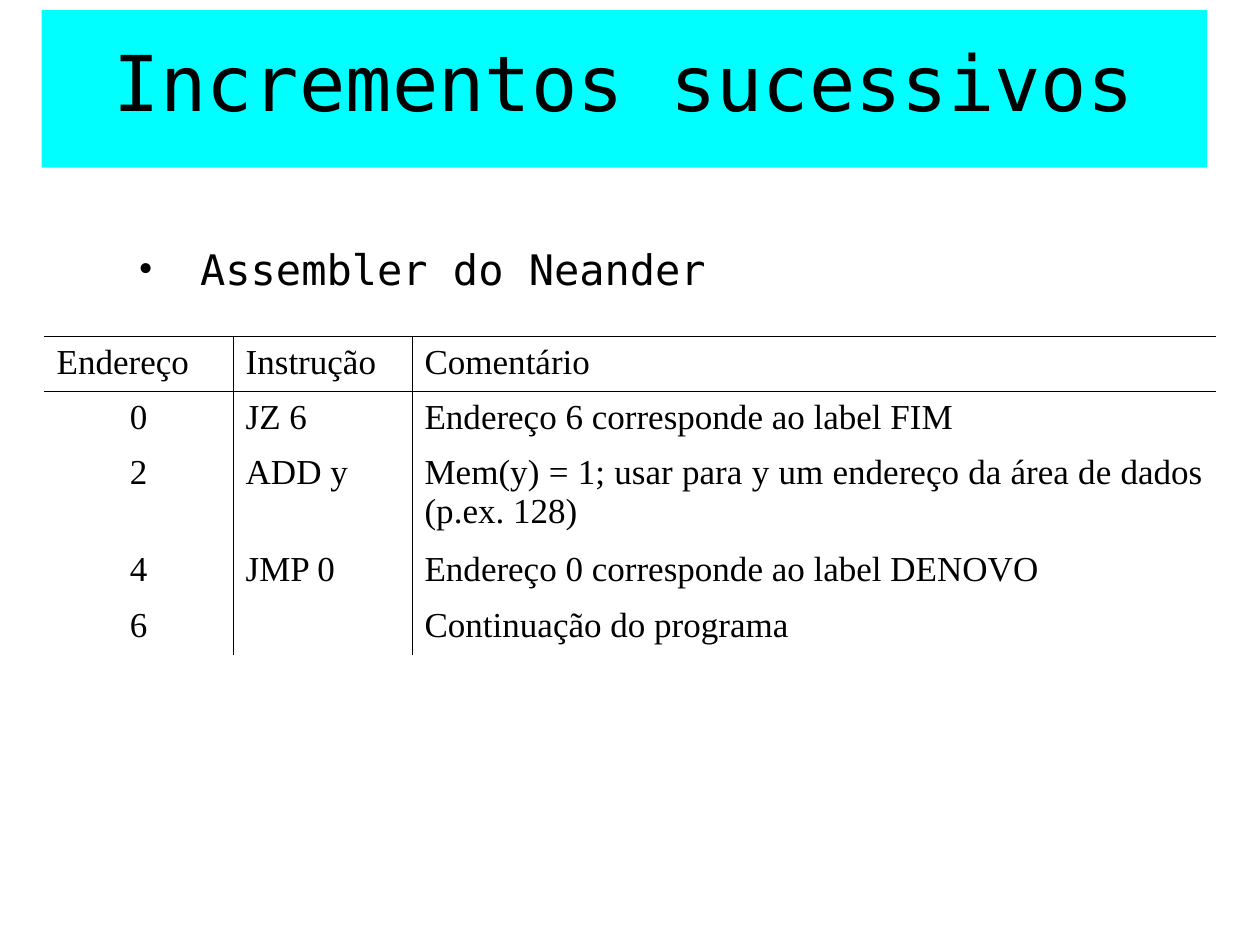
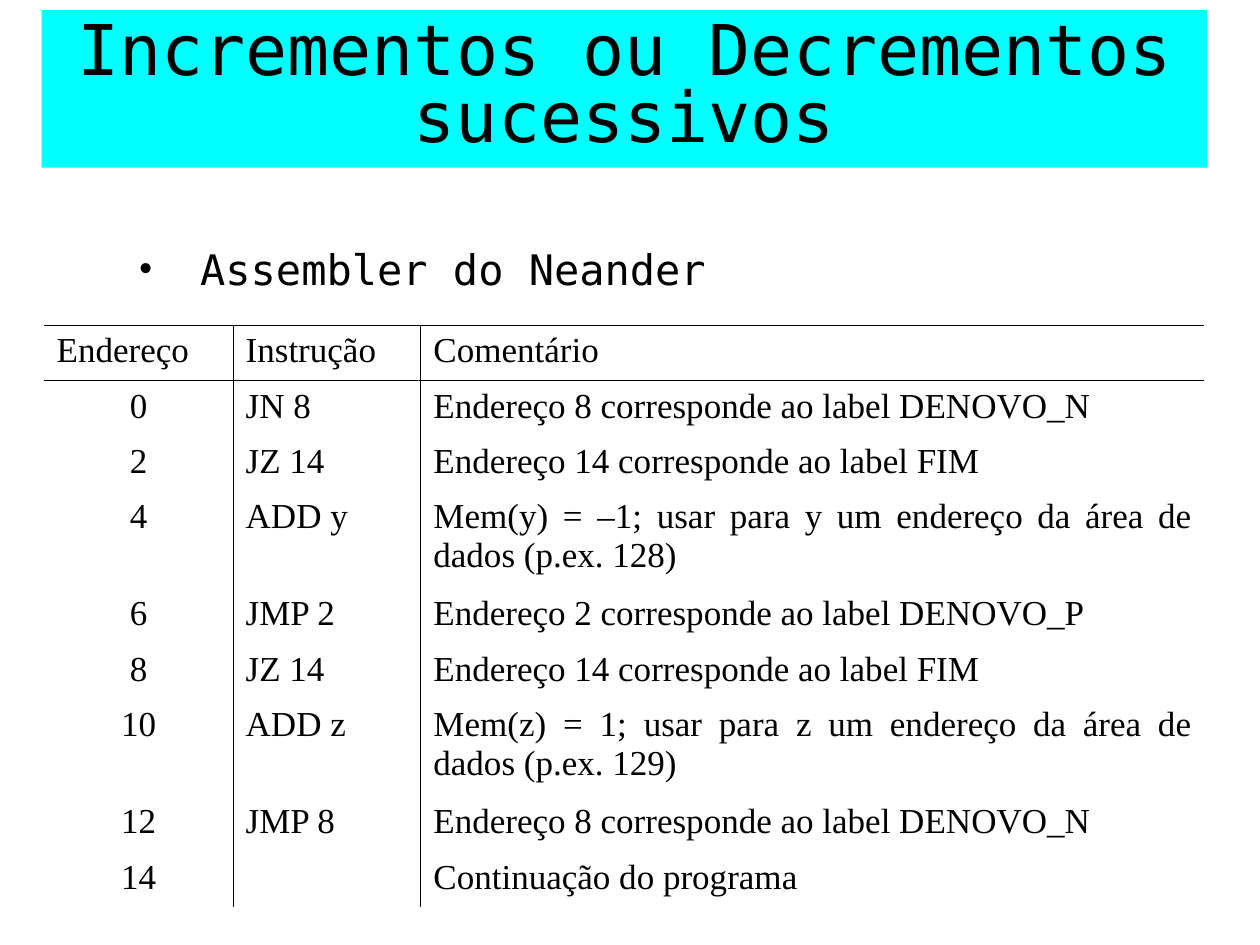
"""Build two slides listing Neander assembler programs."""
from dataclasses import dataclass

from lxml import etree
from pptx import Presentation
from pptx import util as u
from pptx.dml.color import RGBColor
from pptx.enum import shapes, text
from pptx.oxml.ns import qn

TOPIC = "Assembler do Neander"
HEADER = ("Endereço", "Instrução", "Comentário")
SLIDES = [
    {
        "title": "Incrementos sucessivos", "title_size": 44,
        "top": 2.67, "columns": (1.5, 1.42, 6.38),
        "program": [
            ("JZ 6", "Endereço 6 corresponde ao label FIM"),
            ("ADD y", "Mem(y) = 1; usar para y um endereço da área de dados (p.ex. 128)"),
            ("JMP 0", "Endereço 0 corresponde ao label DENOVO"),
            ("", "Continuação do programa"),
        ],
    },
    {
        "title": "Incrementos ou Decrementos sucessivos", "title_size": 40,
        "top": 2.58, "columns": (1.5, 1.49, 6.22),
        "program": [
            ("JN 8", "Endereço 8 corresponde ao label DENOVO_N"),
            ("JZ 14", "Endereço 14 corresponde ao label FIM"),
            ("ADD y", "Mem(y) = –1; usar para y um endereço da área de dados (p.ex. 128)"),
            ("JMP 2", "Endereço 2 corresponde ao label DENOVO_P"),
            ("JZ 14", "Endereço 14 corresponde ao label FIM"),
            ("ADD z", "Mem(z) = 1; usar para z um endereço da área de dados (p.ex. 129)"),
            ("JMP 8", "Endereço 8 corresponde ao label DENOVO_N"),
            ("", "Continuação do programa"),
        ],
    },
]


@dataclass(frozen=True)
class Theme:
    """Colours, fonts, type sizes and row measures."""
    ink: str = "000000"
    band: str = "00FFFF"
    mono: str = "DejaVu Sans Mono"
    serif: str = "Times New Roman"
    topic_size: int = 24
    cell_size: int = 20
    rule: float = 0.45
    row: float = 0.44
    tall_row: float = 0.77
    line_chars: int = 55
    bullet_indent: float = 0.49


THEME = Theme()
BAND = (0.33, 0.08, 9.25, 1.25)
TOPIC_BOX = (1, 1.88, 8.08, 0.5)
TABLE_LEFT = 0.35


def inches(values):
    """Convert numbers to inch lengths."""
    return [u.Inches(value) for value in values]


def write(para, words, size, font):
    """Add one styled run to a paragraph."""
    span = para.add_run()
    span.text = words
    span.font.size = u.Pt(size)
    span.font.name = font
    span.font.color.rgb = RGBColor.from_string(THEME.ink)


def add_title(page, words, size):
    """Draw the title band."""
    band = page.shapes.add_shape(shapes.MSO_SHAPE.RECTANGLE, *inches(BAND))
    band.shadow.inherit = False
    band.fill.solid()
    band.fill.fore_color.rgb = RGBColor.from_string(THEME.band)
    band.line.fill.background()
    band.text_frame.word_wrap = True
    band.text_frame.vertical_anchor = text.MSO_ANCHOR.MIDDLE
    para = band.text_frame.paragraphs[0]
    para.alignment = text.PP_ALIGN.CENTER
    para.line_spacing = 0.8
    write(para, words, size, THEME.mono)


def add_topic(page):
    """Draw the bulleted topic line."""
    box = page.shapes.add_textbox(*inches(TOPIC_BOX))
    box.text_frame.word_wrap = True
    box.text_frame.auto_size = text.MSO_AUTO_SIZE.SHAPE_TO_FIT_TEXT
    para = box.text_frame.paragraphs[0]
    props = para._p.get_or_add_pPr()
    indent = u.Inches(THEME.bullet_indent)
    props.set("marL", str(indent))
    props.set("indent", str(-indent))
    colour = etree.SubElement(props, qn("a:buClr"))
    etree.SubElement(colour, qn("a:srgbClr"), val=THEME.ink)
    etree.SubElement(props, qn("a:buFont"), typeface=THEME.serif)
    etree.SubElement(props, qn("a:buChar"), char="•")
    write(para, TOPIC, THEME.topic_size, THEME.mono)


def set_borders(cell, ruled_sides):
    """Rule the given sides of a cell and clear the others."""
    props = cell._tc.get_or_add_tcPr()
    for side in "LRTB":
        line = etree.SubElement(props, qn(f"a:ln{side}"), w=str(u.Pt(THEME.rule)))
        if side in ruled_sides:
            fill = etree.SubElement(line, qn("a:solidFill"))
            etree.SubElement(fill, qn("a:srgbClr"), val=THEME.ink)
        else:
            etree.SubElement(line, qn("a:noFill"))
    cell.fill.background()


def add_program(page, top, columns, program):
    """Draw the listing, with two bytes of address per instruction."""
    lines = [HEADER] + [(str(2 * i), *step) for i, step in enumerate(program)]
    heights = [THEME.tall_row if len(line[-1]) > THEME.line_chars else THEME.row
               for line in lines]
    place = inches((TABLE_LEFT, top, sum(columns), sum(heights)))
    table = page.shapes.add_table(len(lines), len(columns), *place).table
    table.first_row = table.horz_banding = False
    for column, width in zip(table.columns, columns):
        column.width = u.Inches(width)
    for r, (line, height) in enumerate(zip(lines, heights)):
        table.rows[r].height = u.Inches(height)
        for c, words in enumerate(line):
            cell = table.cell(r, c)
            across = {0: "TB", 1: "T"}.get(r, "")
            set_borders(cell, across + ("R", "LR", "L")[c])
            para = cell.text_frame.paragraphs[0]
            is_address = r > 0 and c == 0
            para.alignment = text.PP_ALIGN.CENTER if is_address else text.PP_ALIGN.JUSTIFY
            if words:
                write(para, words, THEME.cell_size, THEME.serif)


def main():
    """Build and save the deck."""
    deck = Presentation()
    deck.slide_width, deck.slide_height = inches((10, 7.5))
    for content in SLIDES:
        page = deck.slides.add_slide(deck.slide_layouts[6])
        add_title(page, content["title"], content["title_size"])
        add_topic(page)
        add_program(page, content["top"], content["columns"], content["program"])
    deck.save("out.pptx")


if __name__ == "__main__":
    main()
